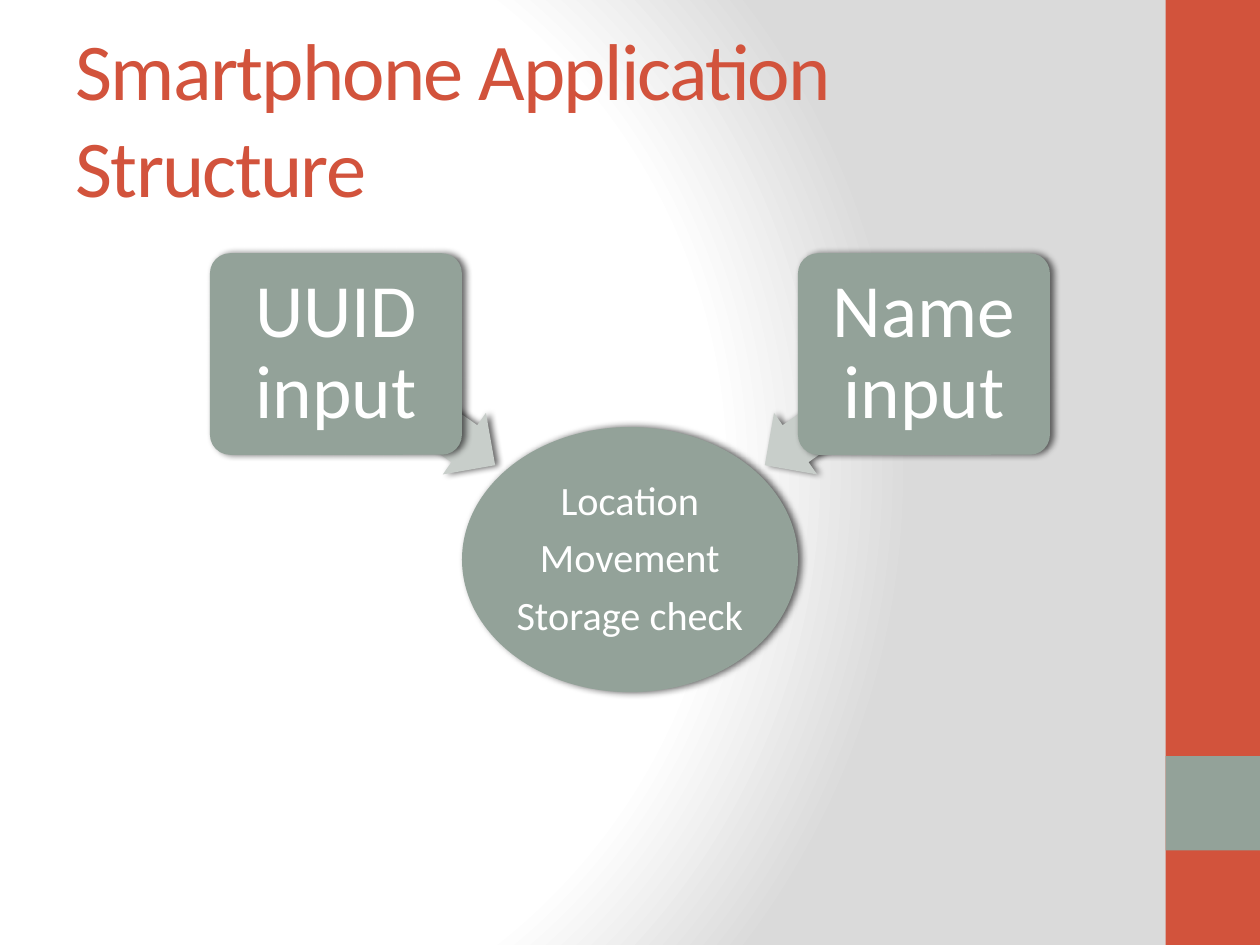
from lxml import etree
from pptx import Presentation
from pptx.dml.color import RGBColor
from pptx.enum.shapes import MSO_SHAPE
from pptx.enum.text import MSO_ANCHOR, MSO_AUTO_SIZE, PP_ALIGN
from pptx.oxml import parse_xml
from pptx.oxml.ns import nsdecls, qn
from pptx.util import Pt

RECT, OVAL = MSO_SHAPE.RECTANGLE, MSO_SHAPE.OVAL
ROUND_RECT, LEFT_ARROW = MSO_SHAPE.ROUNDED_RECTANGLE, MSO_SHAPE.LEFT_ARROW
MIDDLE, NO_AUTOFIT = MSO_ANCHOR.MIDDLE, MSO_AUTO_SIZE.NONE
LEFT, CENTER = PP_ALIGN.LEFT, PP_ALIGN.CENTER

FONT = "Calibri"
RED, SAGE, PALE_SAGE, WHITE = "D2533C", "93A299", "C8CECA", "FFFFFF"
BOX_W, ARROW_W = 144, 111

BACKGROUND = f"""<a:gradFill {nsdecls("a")} rotWithShape="1"><a:gsLst>
<a:gs pos="0"><a:srgbClr val="FFFFFF"/></a:gs>
<a:gs pos="75000"><a:srgbClr val="FFFFFF"/></a:gs>
<a:gs pos="100000"><a:srgbClr val="DADADA"/></a:gs></a:gsLst>
<a:path path="circle"><a:fillToRect l="20000" t="50000" r="100000" b="50000"/></a:path>
</a:gradFill>"""


def add_filled(kind, x, y, w, h, color, shadow=True):
    """Add a borderless shape, measured in points, with a soft shadow to its right."""
    sp = s.shapes.add_shape(kind, Pt(x), Pt(y), Pt(w), Pt(h))
    sp.fill.solid()
    sp.fill.fore_color.rgb = RGBColor.from_string(color)
    sp.line.fill.background()
    sp.shadow.inherit = False
    if shadow:
        effects = sp.element.spPr.find(qn("a:effectLst"))
        outer = etree.SubElement(effects, qn("a:outerShdw"), blurRad=str(Pt(4)),
                                 dist=str(Pt(2)), dir="0", rotWithShape="0")
        black = etree.SubElement(outer, qn("a:srgbClr"), val="000000")
        etree.SubElement(black, qn("a:alpha"), val="60000")
    return sp


def set_label(sp, text, size, inset):
    tf = sp.text_frame
    tf.text = text
    tf.word_wrap = True
    tf.vertical_anchor = MIDDLE
    tf.margin_left = tf.margin_right = tf.margin_top = tf.margin_bottom = Pt(inset)
    for p in tf.paragraphs:
        p.alignment = CENTER
        p.line_spacing = 0.9
        p.space_after = Pt(round(size * 0.35))
        font = p.runs[0].font
        font.name, font.size = FONT, Pt(size)
        font.color.rgb = RGBColor.from_string(WHITE)


prs = Presentation()
prs.slide_width, prs.slide_height = Pt(720), Pt(540)
s = prs.slides.add_slide(prs.slide_layouts[5])

# Background and side band
fill = s.background.fill
fill.gradient()
grad = s.element.find(".//" + qn("a:gradFill"))
grad.getparent().replace(grad, parse_xml(BACKGROUND))
add_filled(RECT, 666, 0, 54, 540, RED, shadow=False)
add_filled(RECT, 666, 432, 54, 54, SAGE, shadow=False)

# Title
title = s.shapes.title
title.left, title.top, title.width, title.height = Pt(36), Pt(21.6), Pt(600), Pt(90)
tf = title.text_frame
tf.text = "Smartphone Application Structure"
tf.word_wrap = True
tf.auto_size = NO_AUTOFIT
tf.vertical_anchor = MIDDLE
p = tf.paragraphs[0]
p.alignment = LEFT
r = p.runs[0]
r.font.name, r.font.size = FONT, Pt(46)
r.font.color.rgb = RGBColor.from_string(RED)
r.font._element.set("spc", "-100")

# Central functions, fed by two inputs
hub = add_filled(OVAL, 264, 244, 192, 151.5, SAGE)
set_label(hub, "Location\nMovement\nStorage check", 23, 1.5)

for text, box_x, arrow_x, angle in [("UUID input", 120, 182, 215),
                                    ("Name input", 456, 427, 325)]:
    arrow = add_filled(LEFT_ARROW, arrow_x, 212.5, ARROW_W, 43, PALE_SAGE)
    arrow.adjustments[0], arrow.adjustments[1] = 0.6, 0.5
    arrow.rotation = angle
    box = add_filled(ROUND_RECT, box_x, 144.7, BOX_W, 115.2, SAGE)
    box.adjustments[0] = 0.1
    set_label(box, text, 43, 6.5)

prs.save("out.pptx")
